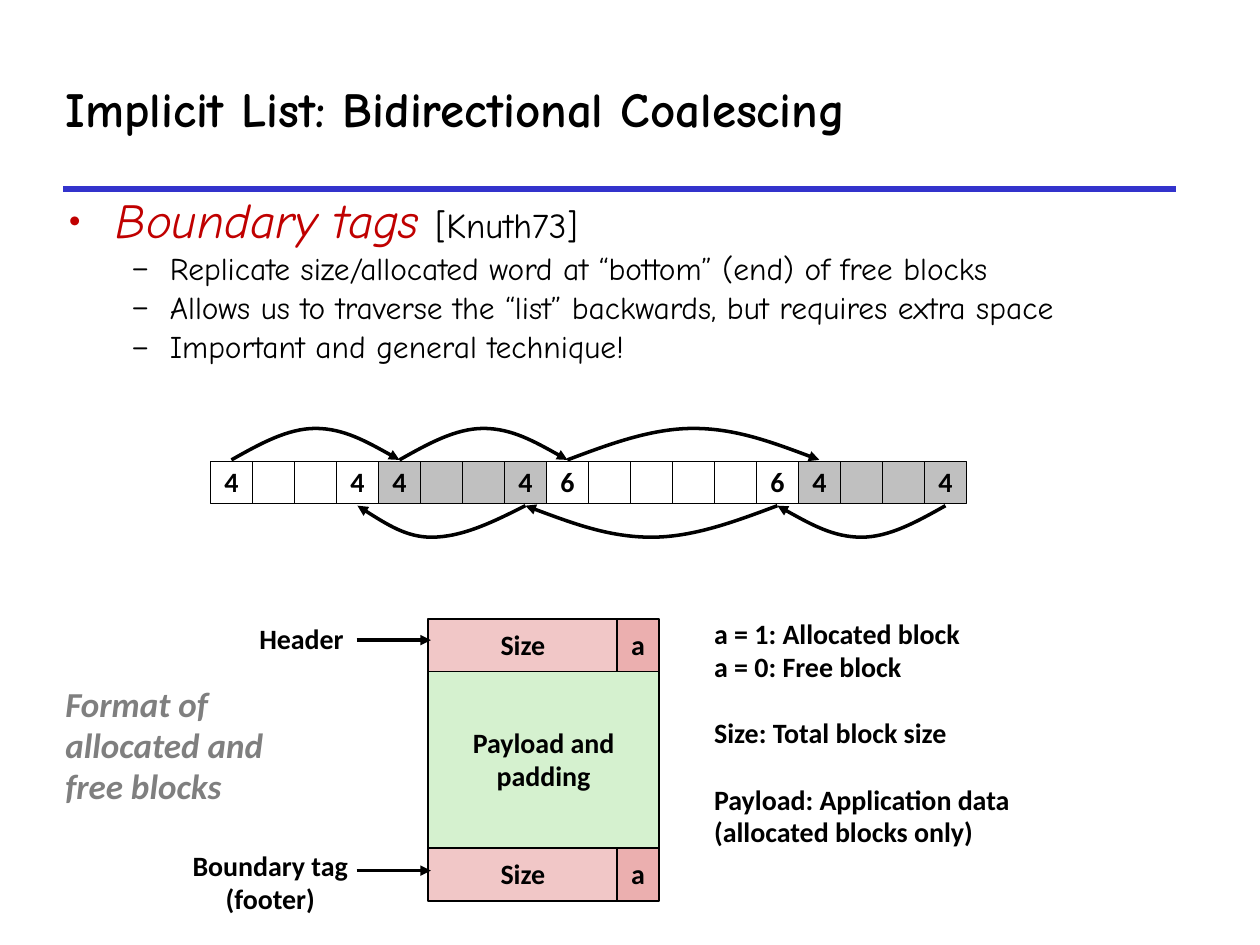
from itertools import accumulate, pairwise
from lxml.etree import SubElement
from pptx import Presentation
from pptx.dml.color import RGBColor
from pptx.enum.shapes import MSO_CONNECTOR, MSO_SHAPE
from pptx.enum.text import MSO_ANCHOR, MSO_AUTO_SIZE, PP_ALIGN
from pptx.oxml.ns import qn
from pptx.util import Inches, Pt

BLACK = RGBColor(0, 0, 0)
WHITE = RGBColor(255, 255, 255)
BLUE = RGBColor(0x33, 0x33, 0xCC)
RED = RGBColor(0xC0, 0, 0)
GRAY = RGBColor(0x7F, 0x7F, 0x7F)
SILVER = RGBColor(0xC0, 0xC0, 0xC0)
PINK = RGBColor(0xF1, 0xC7, 0xC7)
ROSE = RGBColor(0xEB, 0xAF, 0xAF)
GREEN = RGBColor(0xD5, 0xF1, 0xCF)
HAND = "Comic Neue"

TITLE = "Implicit List: Bidirectional Coalescing"
LEAD = [("Boundary tags ", 28, RED, True), ("[Knuth73]", 20, BLACK, False)]
POINTS = [
    "Replicate size/allocated word at “bottom” (end) of free blocks",
    "Allows us to traverse the “list” backwards, but requires extra space",
    "Important and general technique!",
]
BLOCKS = [(4, WHITE), (4, SILVER), (6, WHITE), (4, SILVER)]  # words, fill
PEAKS = [0.56, 0.5, 0.5]  # where each backward link is lowest
LEGEND = [  # groups of lines
    ["a = 1: Allocated block", "a = 0: Free block"],
    ["Size: Total block size"],
    ["Payload: Application data", "(allocated blocks only)"],
]

# Heap row
CELL = 1 / 3
ROW_X, ROW_Y = 1.67, 3.66
RISE = 0.25
# Block format: two columns, three rows
COLS = [3.4, 4.9, 5.23]
ROWS = [4.91, 5.33, 6.73, 7.15]
ARROW_X = 2.83, 3.42

deck = Presentation()
deck.slide_width, deck.slide_height = Inches(10), Inches(7.5)
slide = deck.slides.add_slide(deck.slide_layouts[6])
shapes = slide.shapes


def style(par, size, color=BLACK, face="Calibri", bold=True, ital=False):
    font = par.font
    font.size, font.name, font.bold, font.italic = Pt(size), face, bold, ital
    font.color.rgb = color


def write(frame, lines, size=16, align=PP_ALIGN.LEFT, **look):
    frame.word_wrap = False
    for i, line in enumerate(lines):
        par = frame.add_paragraph() if i else frame.paragraphs[0]
        par.text, par.alignment, par.line_spacing = line, align, 0.98
        style(par, size, **look)


def label(x, y, w, h, lines, **look):
    frame = shapes.add_textbox(*map(Inches, (x, y, w, h))).text_frame
    write(frame, lines, **look)
    frame.auto_size = MSO_AUTO_SIZE.SHAPE_TO_FIT_TEXT
    return frame


def rect(x, y, w, h, fill, lines=(), width=1):
    box = shapes.add_shape(MSO_SHAPE.RECTANGLE, *map(Inches, (x, y, w, h)))
    box.shadow.inherit = False
    box.fill.solid()
    box.fill.fore_color.rgb = fill
    box.line.color.rgb, box.line.width = BLACK, Pt(width)
    box.text_frame.vertical_anchor = MSO_ANCHOR.MIDDLE
    write(box.text_frame, lines, align=PP_ALIGN.CENTER)


def add_head(line):
    SubElement(line.line._get_or_add_ln(), qn("a:tailEnd"), type="triangle")


def rule(x1, x2, y, color, width):
    line = shapes.add_connector(MSO_CONNECTOR.STRAIGHT,
                                *map(Inches, (x1, y, x2, y)))
    line.line.color.rgb, line.line.width = color, Pt(width)
    SubElement(line._element.spPr, qn("a:effectLst"))
    return line


def arc(x1, x2, y, rise, peak=0.5):
    """Arrow made of two cubic curves that meet at the peak."""
    rest = 1 - peak
    spots = [(0, 0), (peak / 3, 0.5), (peak * 2 / 3, 1), (peak, 1),
             (peak + rest / 3, 1), (peak + rest * 2 / 3, 0.5), (1, 0)]
    dots = [(Inches(x1 + a * (x2 - x1)), Inches(y + b * rise))
            for a, b in spots]
    build = shapes.build_freeform(*dots[0])
    build.add_line_segments(dots[1:], close=False)
    curve = build.convert_to_shape()
    track = next(curve._element.iter(qn("a:path")))
    lines = track.findall(qn("a:lnTo"))
    for trio in (lines[:3], lines[3:]):
        bend = SubElement(track, qn("a:cubicBezTo"))
        for line in trio:
            bend.append(line[0])
            track.remove(line)
    curve.shadow.inherit = False
    curve.fill.background()
    curve.line.color.rgb, curve.line.width = BLACK, Pt(2)
    add_head(curve)


def bullet(par, mark, color, left, hang):
    props = par._p.get_or_add_pPr()
    props.set("marL", str(Inches(left)))
    props.set("indent", str(-Inches(hang)))
    tint = SubElement(props, qn("a:buClr"))
    SubElement(tint, qn("a:srgbClr"), val=str(color))
    SubElement(props, qn("a:buFont"), typeface=HAND)
    SubElement(props, qn("a:buChar"), char=mark)


# Heading and points
rule(0.5, 9.33, 1.5, BLUE, 3)
head = label(0.42, 0.54, 9.58, 0.63, [TITLE], size=28, face=HAND)
head.vertical_anchor = MSO_ANCHOR.MIDDLE
head.auto_size, head.word_wrap = MSO_AUTO_SIZE.NONE, True
head.paragraphs[0].line_spacing = 1.0

body = shapes.add_textbox(*map(Inches, (0.44, 1.57, 9.09, 1.45))).text_frame
body.word_wrap = True
lead = body.paragraphs[0]
lead.line_spacing = 0.73
bullet(lead, "•", RED, 0.38, 0.38)
for text, size, color, ital in LEAD:
    run = lead.add_run()
    run.text = text
    style(run, size, color, HAND, False, ital)
for text in POINTS:
    par = body.add_paragraph()
    par.text, par.level = text, 1
    par.line_spacing, par.space_before = 0.78, Pt(5.6)
    bullet(par, "–", BLACK, 0.81, 0.31)
    style(par, 18, face=HAND, bold=False)

# Heap row with forward and backward links
starts = list(accumulate((n for n, _ in BLOCKS), initial=0))
for start, (size, fill) in zip(starts, BLOCKS):
    for i in range(size):
        tag = [str(size)] if i in (0, size - 1) else []
        rect(ROW_X + (start + i) * CELL, ROW_Y, CELL, CELL, fill, tag, 0.25)
mids = [ROW_X + (s + 0.5) * CELL for s in starts]
for a, b in pairwise(mids[:-1]):
    arc(a, b, ROW_Y - 0.01, -RISE)
for (a, b), peak in zip(pairwise(mids[1:]), PEAKS):
    arc(b - CELL, a - CELL, ROW_Y + CELL + 0.02, RISE, peak)

# Block format
left, split, right = COLS
rect(left, ROWS[1], right - left, ROWS[2] - ROWS[1], GREEN,
     ["Payload and", "padding"])
for top, end in (ROWS[:2], ROWS[2:]):
    rect(left, top, split - left, end - top, PINK, ["Size"])
    rect(split, top, right - split, end - top, ROSE, ["a"])
for y in (5.08, 6.91):
    add_head(rule(*ARROW_X, y, BLACK, 2))
label(1.96, 4.9, 0.87, 0.36, ["Header"])
label(1.42, 6.7, 1.45, 0.62, ["Boundary tag", "(footer)"],
      align=PP_ALIGN.CENTER)
label(0.42, 5.38, 1.77, 1.08, ["Format of", "allocated and", "free blocks"],
      size=20, color=GRAY, ital=True)

notes = label(5.57, 4.86, 2.56, 2.19, sum(LEGEND, []))
for first in list(accumulate(map(len, LEGEND)))[:-1]:
    notes.paragraphs[first].space_before = Pt(19)

deck.save("out.pptx")
